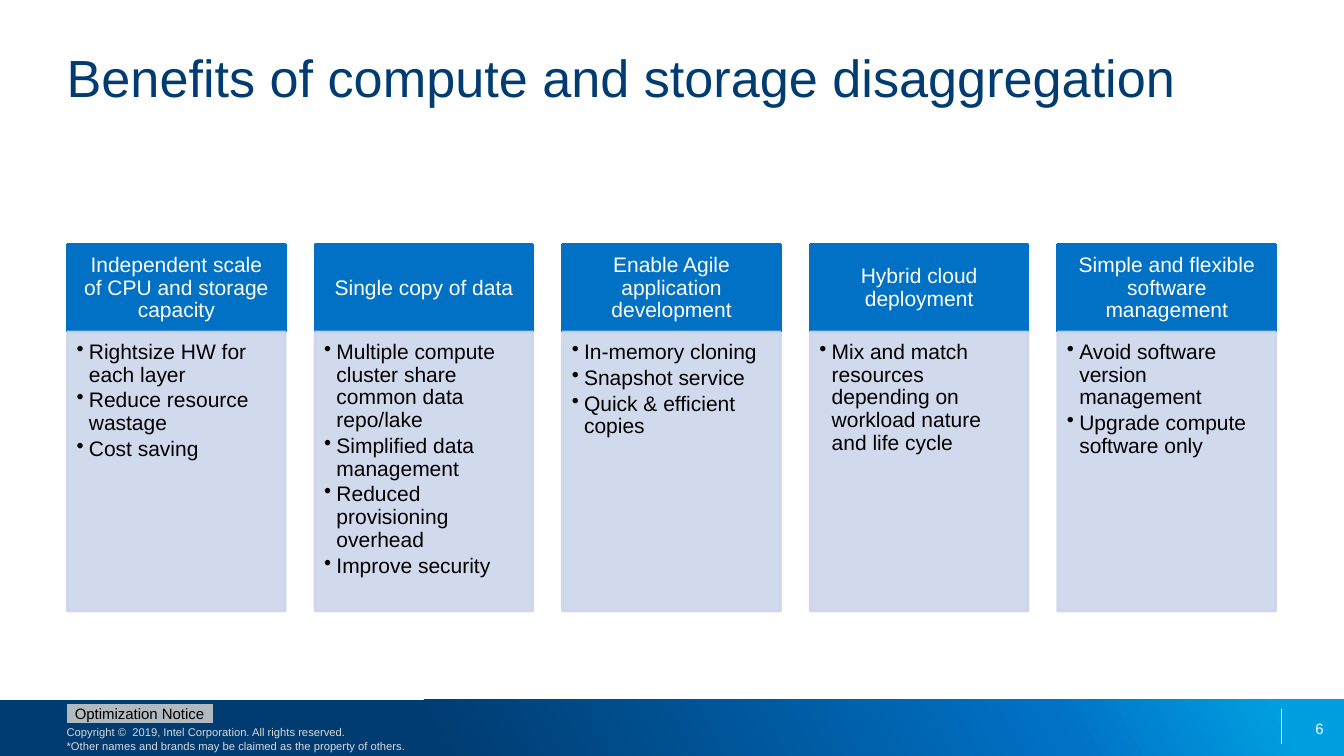
from lxml.etree import SubElement
from pptx import Presentation
from pptx.dml.color import RGBColor
from pptx.enum.shapes import MSO_CONNECTOR, MSO_SHAPE
from pptx.enum.text import MSO_ANCHOR, MSO_AUTO_SIZE, PP_ALIGN
from pptx.oxml import parse_xml
from pptx.oxml.ns import nsdecls, qn
from pptx.util import Cm, Pt

NAVY, BLUE, PALE, WHITE, BLACK = "003C71", "0071C5", "CCD5EA", "FFFFFF", "000000"
LEFT, WIDE, PITCH = 1.7, 5.49, 6.24

CARDS = [
    ("Independent scale of CPU and storage capacity",
     ["Rightsize HW for each layer", "Reduce resource wastage", "Cost saving"]),
    ("Single copy of data",
     ["Multiple compute cluster share common data repo/lake",
      "Simplified data management", "Reduced provisioning overhead",
      "Improve security"]),
    ("Enable Agile application development",
     ["In-memory cloning", "Snapshot service", "Quick & efficient copies"]),
    ("Hybrid cloud deployment",
     ["Mix and match resources depending on workload nature and life cycle"]),
    ("Simple and flexible software management",
     ["Avoid software version management", "Upgrade compute software only"]),
]


def color(code):
    return RGBColor.from_string(code)


def style(para, size, code, align=PP_ALIGN.LEFT):
    para.alignment = align
    para.font.name = "Arial"
    para.font.size = Pt(size)
    para.font.color.rgb = color(code)


def frame(shape, anchor, pads=(0, 0, 0, 0)):
    text = shape.text_frame
    text.word_wrap = True
    text.auto_size = MSO_AUTO_SIZE.NONE
    text.vertical_anchor = anchor
    text.margin_left, text.margin_top, text.margin_right, text.margin_bottom = map(Cm, pads)
    return text


def block(slide, kind, box, fill, edge=False):
    shape = slide.shapes.add_shape(kind, *map(Cm, box))
    shape.shadow.inherit = False
    shape.fill.solid()
    shape.fill.fore_color.rgb = color(fill)
    if edge:
        shape.line.color.rgb = color(fill)
        shape.line.width = Pt(2)
    else:
        shape.line.fill.background()
    return shape


def label(slide, box, words, size, code, anchor, align=PP_ALIGN.LEFT):
    text = frame(slide.shapes.add_textbox(*map(Cm, box)), anchor)
    text.text = words
    style(text.paragraphs[0], size, code, align)


def bullet(para):
    props = para._p.get_or_add_pPr()
    props.set("marL", str(Cm(0.31)))
    props.set("indent", str(-Cm(0.31)))
    SubElement(props, qn("a:buChar"), char="•")


def card(slide, left, head, items):
    # Heading
    top = block(slide, MSO_SHAPE.RECTANGLE, (left, 6.17, WIDE, 2.19), BLUE, True)
    text = frame(top, MSO_ANCHOR.MIDDLE, (0.3, 0.17, 0.3, 0.17))
    text.text = head
    style(text.paragraphs[0], 15, WHITE, PP_ALIGN.CENTER)
    text.paragraphs[0].line_spacing = 0.9

    # List on a slightly transparent panel
    panel = block(slide, MSO_SHAPE.RECTANGLE, (left, 8.37, WIDE, 7.03), PALE, True)
    for tint in panel._element.spPr.iter(qn("a:srgbClr")):
        SubElement(tint, qn("a:alpha"), val="90000")
    text = frame(panel, MSO_ANCHOR.TOP, (0.23, 0.23, 0.3, 0.33))
    for i, item in enumerate(items):
        para = text.add_paragraph() if i else text.paragraphs[0]
        para.text = item
        bullet(para)
        style(para, 15, BLACK)
        para.line_spacing = 0.9
        para.space_after = Pt(2.25)


def blend(shape, stops, angle):
    marks = "".join(f'<a:gs pos="{pos * 1000}"><a:srgbClr val="{code}"/></a:gs>'
                    for pos, code in stops)
    grad = parse_xml(f'<a:gradFill {nsdecls("a")} rotWithShape="1"><a:gsLst>{marks}</a:gsLst>'
                     f'<a:lin ang="{angle * 60000}" scaled="0"/></a:gradFill>')
    props = shape._element.spPr
    props.replace(props.find(qn("a:solidFill")), grad)


def footer(slide):
    # Gradient band and divider
    band = block(slide, MSO_SHAPE.RECTANGLE, (0, 17.63, 33.87, 1.42), NAVY)
    blend(band, [(32, NAVY), (78, BLUE), (95, "009FDF")], 331)
    rule = slide.shapes.add_connector(MSO_CONNECTOR.STRAIGHT, Cm(32.3), Cm(17.86),
                                      Cm(32.3), Cm(18.75))
    rule.line.color.rgb = color(WHITE)
    rule.line.width = Pt(0.75)
    SubElement(rule._element.spPr, qn("a:effectLst"))

    # Notices and page number
    label(slide, (1.68, 18.28, 9.04, 0.69),
          "Copyright ©  2019, Intel Corporation. All rights reserved. \v"
          "*Other names and brands may be claimed as the property of others.",
          8, "D9D9D9", MSO_ANCHOR.TOP)
    tag = block(slide, MSO_SHAPE.ACTION_BUTTON_CUSTOM, (1.68, 17.75, 3.68, 0.48), "B1BABF")
    text = frame(tag, MSO_ANCHOR.MIDDLE)
    text.text = "Optimization Notice"
    style(text.paragraphs[0], 10.7, BLACK, PP_ALIGN.CENTER)
    label(slide, (32.3, 17.84, 1.06, 1.02), "6", 10.7, WHITE,
          MSO_ANCHOR.MIDDLE, PP_ALIGN.RIGHT)


def title(slide, words):
    shape = slide.shapes.title
    shape.left, shape.top, shape.width, shape.height = map(Cm, (1.68, 1.14, 30.48, 3.23))
    text = frame(shape, MSO_ANCHOR.TOP)
    text.text = words
    style(text.paragraphs[0], 37.3, NAVY)


def main():
    deck = Presentation()
    deck.slide_width, deck.slide_height = Cm(33.87), Cm(19.05)
    slide = deck.slides.add_slide(deck.slide_layouts[5])
    footer(slide)
    title(slide, "Benefits of compute and storage disaggregation")
    for i, (head, items) in enumerate(CARDS):
        card(slide, LEFT + i * PITCH, head, items)
    deck.save("out.pptx")


if __name__ == "__main__":
    main()
